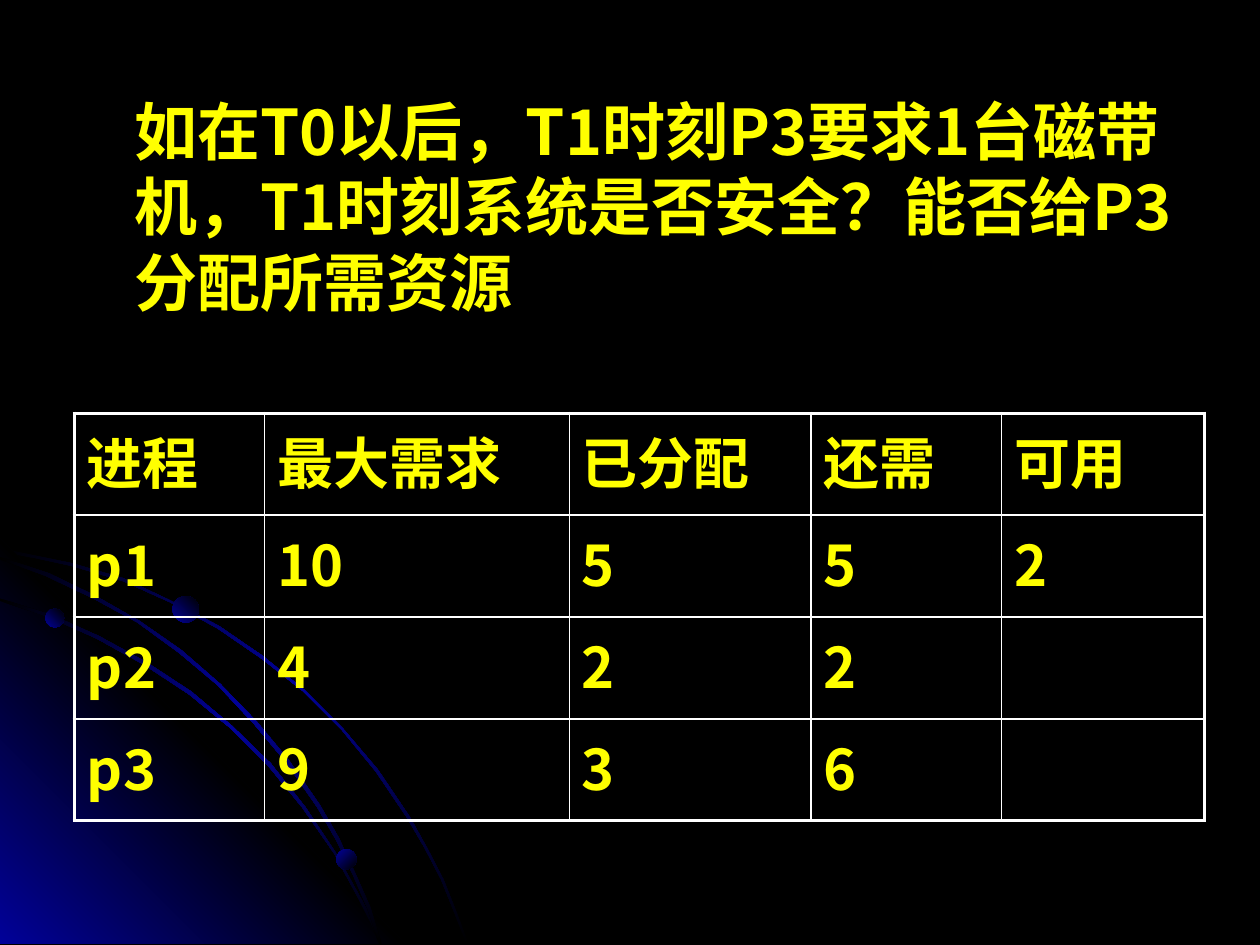
import pptx
import pptx.dml.color
import pptx.enum.shapes
import pptx.enum.text
import pptx.oxml
import pptx.oxml.ns
import pptx.util

Pt = pptx.util.Pt
RGBColor = pptx.dml.color.RGBColor
qn = pptx.oxml.ns.qn

BLACK = RGBColor(0x00, 0x00, 0x00)
BLUE = RGBColor(0x01, 0x01, 0x99)
YELLOW = RGBColor(0xFF, 0xFF, 0x00)
WHITE = RGBColor(0xFF, 0xFF, 0xFF)
FONT = "Noto Sans CJK SC"
NS = 'xmlns:a="http://schemas.openxmlformats.org/drawingml/2006/main"'

GLOW = (BLACK, BLUE, BLACK)
# Outlines in hundredths of an inch (0.72 pt)
OUTER_ARC = [
    (57, 447), (28, 441), (0, 435), (0, 438), (28, 443), (56, 449), (97, 461),
    (135, 478), (173, 499), (208, 523), (241, 549), (271, 579), (298, 612),
    (323, 649), (337, 673), (350, 698), (360, 723), (370, 749), (372, 749),
    (362, 723), (352, 698), (339, 673), (325, 648), (300, 611), (272, 578),
    (242, 548), (209, 521), (174, 497), (136, 477), (98, 459)]
CORNER = [(322, 749), (0, 749), (0, 427)]
INNER_ARC = [
    (285, 714), (294, 732), (301, 749), (303, 749), (296, 730), (286, 712),
    (266, 676), (242, 640), (215, 606), (184, 576), (152, 549), (117, 526),
    (79, 505), (41, 488), (0, 475), (0, 477), (39, 490), (77, 507), (115, 528),
    (150, 551), (183, 578), (213, 608), (240, 641), (265, 677)]
MIDDLE_ARC = [
    (0, 442), (0, 444), (36, 457), (74, 475), (109, 494), (142, 518),
    (173, 544), (202, 575), (227, 605), (252, 641), (267, 667), (280, 694),
    (292, 722), (301, 749), (303, 749), (294, 720), (282, 693), (269, 665),
    (254, 639), (229, 603), (204, 573), (175, 543), (144, 516), (111, 493),
    (76, 473), (39, 455)]

QUESTION = "如在T0以后，T1时刻P3要求1台磁带机，T1时刻系统是否安全？能否给P3分配所需资源"
ROWS = [
    ["进程", "最大需求", "已分配", "还需", "可用"],
    ["p1", "10", "5", "5", "2"],
    ["p2", "4", "2", "2", ""],
    ["p3", "9", "3", "6", ""]]


def write(tf, text, size, color=YELLOW, bold=True, hanging=0, spacing=None):
    p = tf.paragraphs[0]
    pPr = p._p.get_or_add_pPr()
    pPr.set("marL", str(Pt(max(hanging, 0))))
    pPr.set("indent", "0")
    pPr.append(pptx.oxml.parse_xml(f"<a:buNone {NS}/>"))
    p.space_before = Pt(0)
    if spacing:
        p.line_spacing = spacing
    r = p.add_run()
    r.text = text
    r.font.size, r.font.bold, r.font.name = Pt(size), bold, FONT
    r.font.color.rgb = color
    r._r.get_or_add_rPr().append(
        pptx.oxml.parse_xml(f'<a:ea {NS} typeface="{FONT}"/>'))


class Deck:
    def __init__(self, slide, line_color=WHITE, thin=1, thick=2.25):
        self.s = slide
        self.line_color, self.thin, self.thick = line_color, thin, thick

    def background(self, color):
        fill = self.s.background.fill
        fill.solid()
        fill.fore_color.rgb = color

    def gradient(self, sp, colors, angle):
        """Fill with evenly spaced stops; angle runs clockwise."""
        last = len(colors) - 1
        stops = "".join(
            f'<a:gs pos="{100000 * i // last}"><a:srgbClr val="{c}"/></a:gs>'
            for i, c in enumerate(colors))
        sp.shadow.inherit = False
        sp.line.fill.background()
        sp._element.spPr.find(qn("a:ln")).addprevious(pptx.oxml.parse_xml(
            f'<a:gradFill {NS} rotWithShape="1"><a:gsLst>{stops}</a:gsLst>'
            f'<a:lin ang="{angle * 60000}" scaled="1"/></a:gradFill>'))

    def outline(self, points, colors, angle):
        builder = self.s.shapes.build_freeform(*points[0], scale=Pt(0.72))
        builder.add_line_segments(points[1:], close=True)
        self.gradient(builder.convert_to_shape(), colors, angle)

    def ball(self, x, y, size, angle):
        sp = self.s.shapes.add_shape(
            pptx.enum.shapes.MSO_SHAPE.OVAL, Pt(x), Pt(y), Pt(size), Pt(size))
        self.gradient(sp, (BLUE, BLACK), angle)

    def body(self, text, x, y, w, h):
        sp = self.s.placeholders[1]
        sp.left, sp.top, sp.width, sp.height = Pt(x), Pt(y), Pt(w), Pt(h)
        tf = sp.text_frame
        tf.word_wrap = True
        tf.auto_size = pptx.enum.text.MSO_AUTO_SIZE.NONE
        tf.vertical_anchor = pptx.enum.text.MSO_ANCHOR.TOP
        write(tf, text, 36, hanging=27, spacing=1.0)
        self.s.shapes._spTree.append(sp._element)

    def borders(self, cell, outer):
        """Draw all four sides, thick where the side is on the table's edge."""
        tcPr = cell._tc.get_or_add_tcPr()
        for i, (side, on_edge) in enumerate(outer.items()):
            width = Pt(self.thick if on_edge else self.thin)
            tcPr.insert(i, pptx.oxml.parse_xml(
                f'<a:ln{side} {NS} w="{width}"><a:solidFill>'
                f'<a:srgbClr val="{self.line_color}"/></a:solidFill></a:ln{side}>'))

    def table(self, rows, x, y, widths, row_height):
        n, m = len(rows), len(widths)
        table = self.s.shapes.add_table(
            n, m, Pt(x), Pt(y), Pt(sum(widths)), Pt(row_height * n)).table
        table.first_row = table.horz_banding = False
        for column, width in zip(table.columns, widths):
            column.width = Pt(width)
        for i, row in enumerate(rows):
            table.rows[i].height = Pt(row_height)
            for j, text in enumerate(row):
                cell = table.cell(i, j)
                cell.fill.background()
                self.borders(cell, {"L": j == 0, "R": j == m - 1,
                                    "T": i == 0, "B": i == n - 1})
                if text:
                    write(cell.text_frame, text, 32)


def main():
    prs = pptx.Presentation()
    prs.slide_width, prs.slide_height = Pt(720), Pt(540)
    s = prs.slides.add_slide(prs.slide_layouts[1])
    title = s.shapes.title._element
    title.getparent().remove(title)

    deck = Deck(s)
    deck.background(BLACK)
    deck.outline(OUTER_ARC, GLOW, 45)
    deck.outline(CORNER, (BLUE, BLACK, BLUE), 315)
    deck.outline(INNER_ARC, GLOW, 45)
    deck.outline(MIDDLE_ARC, GLOW, 45)
    deck.ball(25.9, 347.8, 10.8, 315)
    deck.ball(192.2, 485.3, 11.5, 45)
    deck.ball(98.6, 340.6, 15.1, 315)
    deck.body(QUESTION, 42.5, 49, 653, 181.4)
    deck.table(ROWS, 42.5, 236.2, [108.7, 174.2, 138.2, 108.7, 116], 58.2)
    prs.save("out.pptx")


if __name__ == "__main__":
    main()
